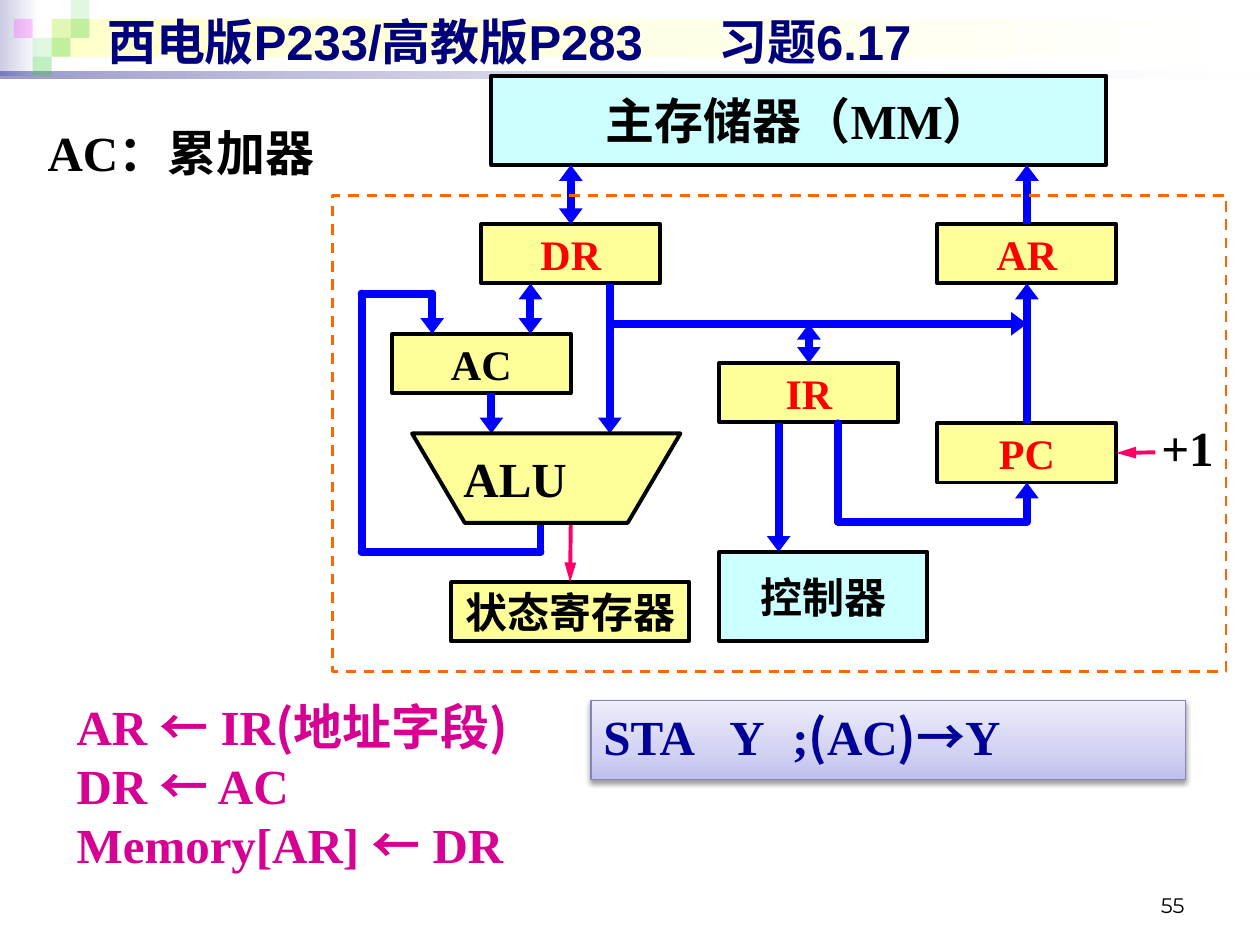
from itertools import pairwise

from lxml.etree import SubElement
from pptx import Presentation
from pptx.dml.color import RGBColor
from pptx.enum.dml import MSO_LINE
from pptx.enum.shapes import MSO_CONNECTOR, MSO_SHAPE
from pptx.enum.text import MSO_ANCHOR, PP_ALIGN
from pptx.oxml.ns import qn
from pptx.util import Inches, Pt

SERIF, SANS, CJK = "Times New Roman", "Arial", "Noto Sans CJK SC"
BLACK, RED, BLUE, ROSE = "000000", "FF0000", "0000FF", "FF0066"
YELLOW, CYAN, PINK = "FFFF99", "CCFFFF", "D60093"

# Bars: place, gradient stops (position, colour, opacity)
BARS = [
    ((0, 0, 0.31, 0.6), [(0, "CCCCE6", 100), (100, "FFFFFF", 100)]),
    ((0.41, 0.15, 9.55, 0.3), [(0, "FFFFCC", 100), (100, "FFFFFF", 100)]),
    ((0, 0.57, 10, 0.05), [(0, "00007D", 40), (100, "FFFFFF", 10)]),
]
# Corner squares: column, row, colour, opacity
TILE = 0.15
TILES = [
    (2, 1, "33CC33", 15), (3, 0, "33CC33", 15), (3, 1, "33CC33", 30),
    (1, 2, "33CC33", 15), (0, 1, "FF00FF", 20), (2, 2, "33CC33", 30),
    (1, 3, "33CC33", 30),
]
# Units: label, place, fill, text colour, size
REG = (1.42, 0.47)
UNITS = [
    ("DR", (3.82, 1.78, *REG), YELLOW, RED, 24),
    ("AC", (3.11, 2.65, *REG), YELLOW, BLACK, 24),
    ("IR", (5.71, 2.88, *REG), YELLOW, RED, 24),
    ("PC", (7.44, 3.36, *REG), YELLOW, RED, 24),
    ("AR", (7.44, 1.78, *REG), YELLOW, RED, 24),
    ("状态寄存器", (3.58, 4.62, 1.89, 0.47), YELLOW, BLACK, 24),
    ("控制器", (5.71, 4.38, 1.65, 0.71), CYAN, BLACK, 24),
    ("主存储器（MM）", (3.9, 0.6, 4.88, 0.71), CYAN, BLACK, 28),
]
# Data paths: corner points, arrow at both ends
BUSES = [
    ([(4.21, 2.65), (4.21, 2.25)], True),
    ([(4.84, 2.25), (4.84, 3.44)], False),
    ([(4.29, 4.14), (4.29, 4.38), (2.87, 4.38), (2.87, 2.33),
      (3.43, 2.33), (3.43, 2.65)], False),
    ([(3.9, 3.12), (3.9, 3.44)], False),
    ([(4.53, 1.78), (4.53, 1.31)], True),
    ([(4.84, 2.57), (8.15, 2.57)], False),
    ([(6.42, 2.57), (6.42, 2.88)], True),
    ([(6.18, 3.36), (6.18, 4.38)], False),
    ([(8.15, 3.36), (8.15, 2.25)], False),
    ([(8.15, 1.78), (8.15, 1.31)], False),
    ([(6.65, 3.36), (6.65, 4.14), (8.15, 4.14), (8.15, 3.83)], False),
]
SIGNALS = [[(4.53, 4.14), (4.53, 4.62)], [(9.17, 3.59), (8.86, 3.59)]]

# Paragraphs are lists of (text, font) runs
TITLE = [[("西电版P233/高教版P283\t习题6.17", SANS)]]
STEPS = [
    [("AR ", SERIF), ("←", CJK), (" IR", SERIF), ("(", CJK),
     ("地址字段", SERIF), (")", CJK)],
    [("DR ", SERIF), ("←", CJK), (" AC", SERIF)],
    [("Memory[AR] ", SERIF), ("←", CJK), (" DR", SERIF)],
]
ORDER = [[("STA\tY\t;", SERIF), ("(", CJK), ("AC", SERIF),
          (")→", CJK), ("Y", SERIF)]]
ORDER_FILL = [(0, "BFBFF0", 100), (35, "D2D2F3", 100), (100, "EDEDFB", 100)]


def rgb(code):
    return RGBColor.from_string(code)


def put(item, at):
    names = ("left", "top", "width", "height")
    for name, size in zip(names, at):
        setattr(item, name, Inches(size))


def write(item, paras, size, color, bold=True, align=PP_ALIGN.LEFT,
          anchor=MSO_ANCHOR.TOP, wrap=True, pitch=None):
    frame = item.text_frame
    frame.word_wrap, frame.vertical_anchor = wrap, anchor
    look = {"size": Pt(size), "bold": bold}
    for i, runs in enumerate(paras):
        para = frame.add_paragraph() if i else frame.paragraphs[0]
        para.alignment = align
        if pitch:
            para.line_spacing = Pt(pitch)
        for words, face in runs:
            run = para.add_run()
            run.text = words
            for name, value in {**look, "name": face}.items():
                setattr(run.font, name, value)
            run.font.color.rgb = rgb(color)


def shade(item, stops, angle=0):
    """Fill with a linear gradient; the angle runs counter-clockwise."""
    item.fill.gradient()
    item.fill.gradient_angle = angle
    group = item._element.spPr.find(qn("a:gradFill")).find(qn("a:gsLst"))
    group.clear()
    for pos, color, alpha in stops:
        stop = SubElement(group, qn("a:gs"), pos=str(pos * 1000))
        tint = SubElement(stop, qn("a:srgbClr"), val=color)
        SubElement(tint, qn("a:alpha"), val=str(alpha * 1000))


def shape(at, fill=None, line=None, width=2.25, kind=MSO_SHAPE.RECTANGLE):
    item = slide.shapes.add_shape(kind, *map(Inches, at))
    item.shadow.inherit = False
    if isinstance(fill, list):
        shade(item, fill)
    elif fill:
        item.fill.solid()
        item.fill.fore_color.rgb = rgb(fill)
    else:
        item.fill.background()
    if line:
        item.line.color.rgb = rgb(line)
        item.line.width = Pt(width)
    else:
        item.line.fill.background()
    return item


def label(at, paras, *args, **look):
    write(slide.shapes.add_textbox(*map(Inches, at)), paras, *args, **look)


def site(point):
    """Find the unit and side whose middle is at the point."""
    for box, (x, y, w, h) in boxes:
        mids = [(x + w / 2, y), (x, y + h / 2),
                (x + w / 2, y + h), (x + w, y + h / 2)]
        for side, mid in enumerate(mids):
            if all(abs(a - b) < 0.02 for a, b in zip(point, mid)):
                return box, side
    return None


def route(points, color, width, length, both=False):
    """Draw straight pieces through the points, with an arrow at the end."""
    for start, end in pairwise(points):
        wire = slide.shapes.add_connector(
            MSO_CONNECTOR.STRAIGHT, *map(Inches, (*start, *end)))
        wire.line.color.rgb = rgb(color)
        wire.line.width = Pt(width)
        edge = wire.line._get_or_add_ln()
        if len(points) > 2:
            edge.set("cap", "rnd")
        tips = ["headEnd"] * both + ["tailEnd"] * (end == points[-1])
        for tip in tips:
            SubElement(edge, qn("a:" + tip), type="triangle", w="med", len=length)
        SubElement(wire._element.spPr, qn("a:effectLst"))
        for point, join in ((start, wire.begin_connect), (end, wire.end_connect)):
            if found := site(point):
                join(*found)


deck = Presentation()
deck.slide_width, deck.slide_height = Inches(10), Inches(7.5)
slide = deck.slides.add_slide(deck.slide_layouts[5])

for at, stops in BARS:
    shape(at, stops)
for col, row, color, alpha in TILES:
    tile = shape((0.11 + col * TILE, row * TILE, TILE, TILE), color)
    tint = tile._element.spPr.find(qn("a:solidFill"))[0]
    SubElement(tint, qn("a:alpha"), val=str(alpha * 1000))

title = slide.shapes.title
slide.shapes._spTree.append(title._element)  # in front of the bars
put(title, (0.75, 0.05, 9.13, 0.55))
props = title.text_frame.paragraphs[0]._p.get_or_add_pPr()
SubElement(SubElement(props, qn("a:tabLst")), qn("a:tab"),
           pos=str(Inches(4.85)), algn="l")
write(title, TITLE, 28, "00007D", anchor=MSO_ANCHOR.MIDDLE)

boxes = []
for name, at, fill, color, size in UNITS:
    box = shape(at, fill, BLACK)
    write(box, [[(name, SERIF)]], size, color, align=PP_ALIGN.CENTER,
          anchor=MSO_ANCHOR.MIDDLE, wrap=False)
    boxes.append((box, at))
for points, both in BUSES:
    route(points, BLUE, 4.5, "sm", both)
for points in SIGNALS:
    route(points, ROSE, 2.25, "lg")

alu = shape((3.27, 3.44, 2.13, 0.71), YELLOW, BLACK, kind=MSO_SHAPE.TRAPEZOID)
alu.rotation = 180
alu.adjustments[0] = 0.59
cpu = shape((2.64, 1.55, 7.09, 3.78), None, "FF6600", 1.5)
cpu.line.dash_style = MSO_LINE.DASH

label((3.58, 3.51, 1.5, 0.5), [[("ALU", SERIF)]], 28, BLACK)
label((9.02, 3.41, 0.71, 0.42), [[("+1", SERIF)]], 28, BLACK,
      align=PP_ALIGN.RIGHT, pitch=23)
label((0.28, 0.92, 2.6, 0.55), [[("AC：累加器", SERIF)]], 28, BLACK)
label((0.51, 5.48, 4.41, 1.65), STEPS, 28, PINK, pitch=33.7)
label((7.17, 6.83, 2.33, 0.5), [[("55", "Montserrat")]], 12, BLACK, bold=False,
      align=PP_ALIGN.RIGHT, anchor=MSO_ANCHOR.BOTTOM)

order = shape((4.69, 5.56, 4.72, 0.63), ORDER_FILL, "8686B6", 0.75)
order.fill.gradient_angle = 90
glow = SubElement(order._element.spPr.find(qn("a:effectLst")), qn("a:outerShdw"),
                  blurRad=str(Pt(3.1)), dist=str(Pt(1.6)), dir="5400000")
tint = SubElement(glow, qn("a:srgbClr"), val=BLACK)
SubElement(tint, qn("a:alpha"), val="38000")
write(order, ORDER, 28, "000099")

deck.save("out.pptx")
